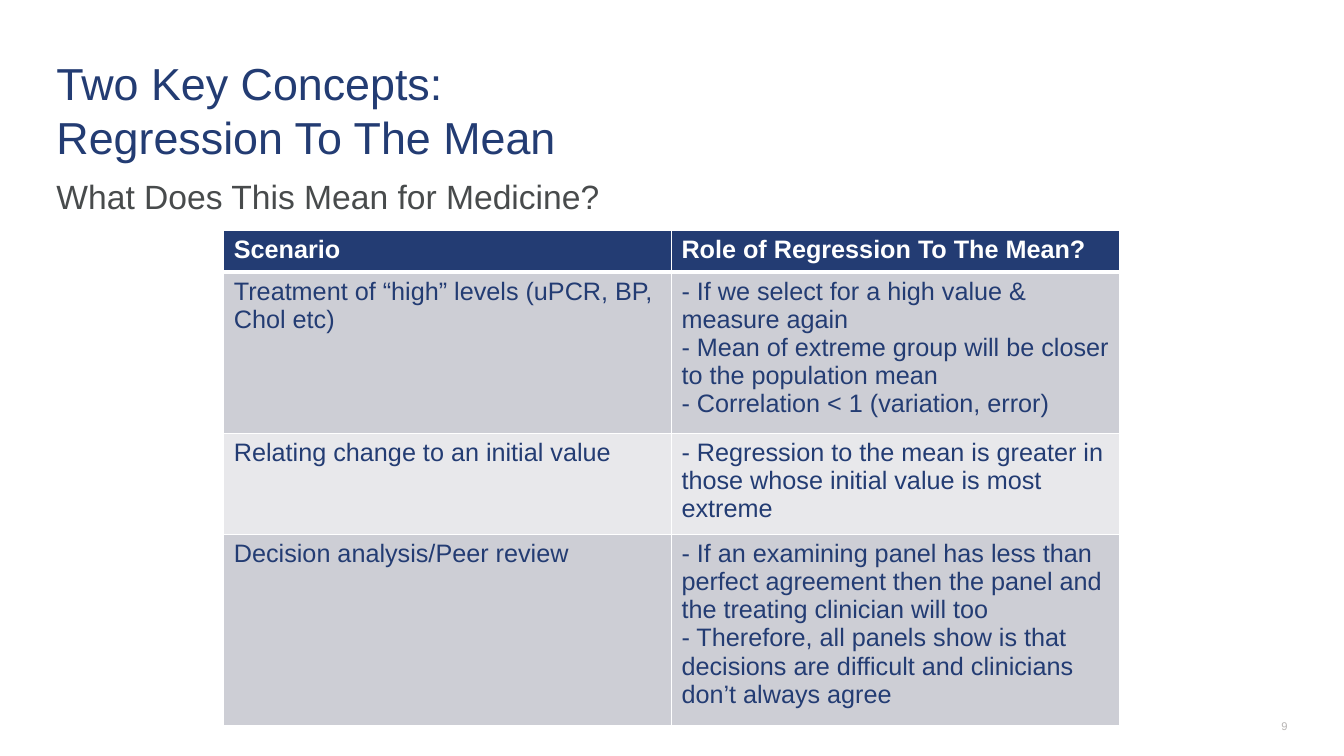
from lxml import etree
from pptx import Presentation
from pptx import util as u
from pptx.dml.color import RGBColor
from pptx.enum import text
from pptx.oxml import ns

PX = 9144  # EMU per px, 100 px to the inch
FONT = "Arial"
NAVY = RGBColor(0x23, 0x3C, 0x73)
GREY = RGBColor(0x48, 0x4B, 0x4C)
PALE_GREY = RGBColor(0xB7, 0xB4, 0xB3)
WHITE = RGBColor(0xFF, 0xFF, 0xFF)
BAND_DARK = RGBColor(0xCD, 0xCE, 0xD5)
BAND_LIGHT = RGBColor(0xE8, 0xE8, 0xEB)

ROW_HEIGHTS = [41, 150, 94, 178]
COLUMN_WIDTH = 444
SCENARIOS = [
    (["Scenario"], ["Role of Regression To The Mean?"]),
    (["Treatment of “high” levels (uPCR, BP, Chol etc)"],
     ["- If we select for a high value & measure again",
      "- Mean of extreme group will be closer to the population mean",
      "- Correlation < 1 (variation, error)"]),
    (["Relating change to an initial value"],
     ["- Regression to the mean is greater in those whose initial value is most extreme"]),
    (["Decision analysis/Peer review"],
     ["- If an examining panel has less than perfect agreement then the panel "
      "and the treating clinician will too",
      "- Therefore, all panels show is that decisions are difficult and "
      "clinicians don’t always agree"]),
]


def write_text(frame, lines, size, color, bold=False, align=text.PP_ALIGN.LEFT):
    """Fill a text frame with one paragraph per line."""
    for index, line in enumerate(lines):
        paragraph = frame.add_paragraph() if index else frame.paragraphs[0]
        paragraph.text = line
        paragraph.alignment = align
        for run in paragraph.runs:
            run.font.name = FONT
            run.font.size = u.Pt(size)
            run.font.bold = bold
            run.font.color.rgb = color


def add_text(slide, box, content, anchor=text.MSO_ANCHOR.TOP, **style):
    shape = slide.shapes.add_textbox(*(value * PX for value in box))
    frame = shape.text_frame
    frame.word_wrap = True
    frame.vertical_anchor = anchor
    frame.margin_left = frame.margin_right = frame.margin_top = frame.margin_bottom = 0
    write_text(frame, [content], **style)


def set_borders(cell, **widths):
    """Draw white cell borders; widths are in points, keyed by side."""
    properties = cell._tc.get_or_add_tcPr()
    for side in "LRTB":
        line = etree.SubElement(properties, ns.qn(f"a:ln{side}"),
                                w=str(u.Pt(widths.get(side, 1))))
        fill = etree.SubElement(line, ns.qn("a:solidFill"))
        etree.SubElement(fill, ns.qn("a:srgbClr"), val=str(WHITE))


def add_scenario_table(slide, left, top):
    frame = slide.shapes.add_table(len(SCENARIOS), 2, left * PX, top * PX,
                                   2 * COLUMN_WIDTH * PX, sum(ROW_HEIGHTS) * PX)
    table = frame.table
    for column in table.columns:
        column.width = COLUMN_WIDTH * PX
    for row, entries in enumerate(SCENARIOS):
        table.rows[row].height = ROW_HEIGHTS[row] * PX
        header = row == 0
        band = NAVY if header else BAND_DARK if row % 2 else BAND_LIGHT
        for column, lines in enumerate(entries):
            cell = table.cell(row, column)
            # A thicker rule separates the header from the body
            set_borders(cell, T=3 if row == 1 else 1, B=3 if header else 1)
            cell.fill.solid()
            cell.fill.fore_color.rgb = band
            write_text(cell.text_frame, lines, size=18,
                       color=WHITE if header else NAVY, bold=header)


def main():
    presentation = Presentation()
    presentation.slide_width = 1333 * PX
    presentation.slide_height = 750 * PX
    slide = presentation.slides.add_slide(presentation.slide_layouts[6])

    # Headings
    add_text(slide, (56, 40, 1043, 138), "Two Key Concepts:\vRegression To The Mean",
             anchor=text.MSO_ANCHOR.MIDDLE, size=32, color=NAVY)
    add_text(slide, (56, 174, 1221, 45), "What Does This Mean for Medicine?",
             size=24, color=GREY)

    # Scenarios
    add_scenario_table(slide, 222, 229)

    # Slide number
    add_text(slide, (1238, 714, 39, 13), "9", size=8, color=PALE_GREY,
             align=text.PP_ALIGN.RIGHT)

    presentation.save("out.pptx")


if __name__ == "__main__":
    main()
